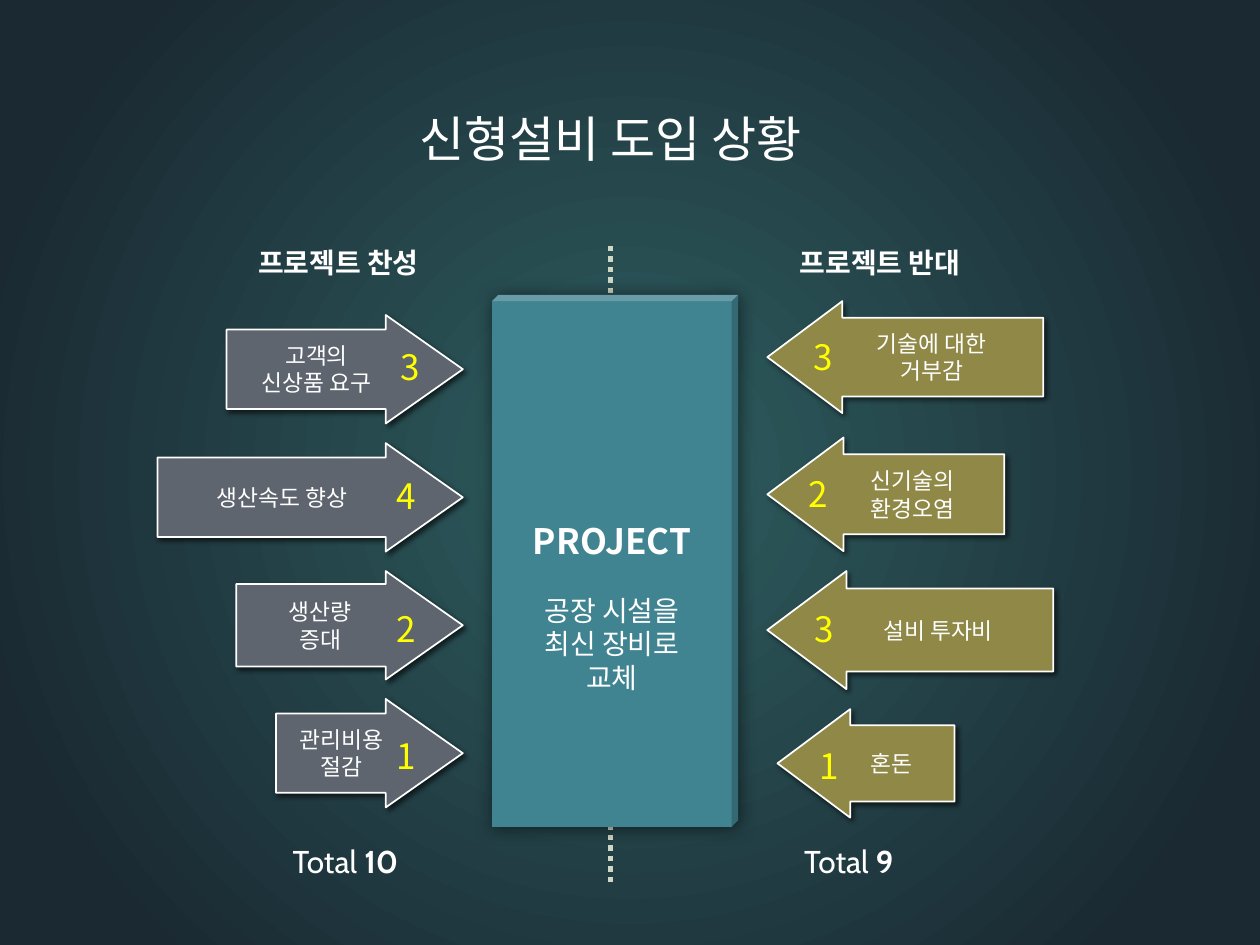
from lxml import etree
from pptx import Presentation
from pptx.dml.color import RGBColor
from pptx.enum.dml import MSO_LINE
from pptx.enum.shapes import MSO_CONNECTOR, MSO_SHAPE
from pptx.enum.text import MSO_ANCHOR, PP_ALIGN
from pptx.oxml.ns import qn
from pptx.util import Pt

CUBE, RIGHT_ARROW, LEFT_ARROW = MSO_SHAPE.CUBE, MSO_SHAPE.RIGHT_ARROW, MSO_SHAPE.LEFT_ARROW
STRAIGHT, DOTTED = MSO_CONNECTOR.STRAIGHT, MSO_LINE.ROUND_DOT
LEFT, CENTER = PP_ALIGN.LEFT, PP_ALIGN.CENTER
TOP, MIDDLE = MSO_ANCHOR.TOP, MSO_ANCHOR.MIDDLE

COLORS = {
    "glow": "2E5E60", "night": "1A2932", "white": "FFFFFF", "score": "FFFF00",
    "for": "5E656F", "against": "8F8846", "project": "418491",
    "axis": "CFD7C5", "shadow": "000000",
}
KOREAN, LATIN = "Noto Sans CJK KR", "Cabin"
FORMATS = {
    "title": {"name": KOREAN, "size": Pt(28), "bold": False},
    "heading": {"name": KOREAN, "size": Pt(16), "bold": True},
    "force": {"name": KOREAN, "size": Pt(13), "bold": False},
    "score": {"name": KOREAN, "size": Pt(20), "bold": False},
    "project": {"name": KOREAN, "size": Pt(20), "bold": True},
    "detail": {"name": KOREAN, "size": Pt(16), "bold": False},
    "total": {"name": LATIN, "size": Pt(18), "bold": False},
    "sum": {"name": LATIN, "size": Pt(18), "bold": True},
}
SIDES = {
    "for": {
        "arrow": RIGHT_ARROW, "head": 0.711, "heading": "프로젝트 찬성", "total": "10",
        "heading_x": 50.4, "total_x": 62,
        "forces": [
            ("고객의\v신상품 요구", "3", (39.5, 43.2, 135, 62), 0.732, (131.8, 56.9)),
            ("생산속도 향상", "4", (0, 116.4, 174.5, 62), 0.732, (129.6, 131)),
            ("생산량\v증대", "2", (45, 189.5, 129.5, 62), 0.76, (129.6, 206.6)),
            ("관리비용\v절감", "1", (67.8, 262.6, 106.7, 62), 0.732, (129.6, 279.4)),
        ],
    },
    "against": {
        "arrow": LEFT_ARROW, "head": 0.67, "heading": "프로젝트 반대", "total": "9",
        "heading_x": 11.5, "total_x": 5.8,
        "forces": [
            ("기술에 대한\v거부감", "3", (0, 35.3, 157.7, 64), 0.703, (19.5, 51.1)),
            ("신기술의\v환경오염", "2", (0, 113.2, 135.4, 65), 0.703, (16.5, 129.6)),
            ("설비 투자비", "3", (0, 189.5, 163.4, 67.5), 0.703, (20.1, 206.6)),
            ("혼돈", "1", (5.8, 268.4, 101.2, 62), 0.703, (23, 285.1)),
        ],
    },
}


def rgb(color):
    """Return the named colour."""
    return RGBColor.from_string(COLORS[color])


def add_runs(paragraph, runs, align, color="white"):
    """Write (text, format) runs into a paragraph, breaking lines at vertical tabs."""
    paragraph.alignment = align
    for text, style in runs:
        for index, line in enumerate(text.split("\v")):
            if index:
                paragraph.add_line_break()
            run = paragraph.add_run()
            run.text = line
            for key, value in FORMATS[style].items():
                setattr(run.font, key, value)
            run.font.color.rgb = rgb(color)
            east_asian = etree.SubElement(run._r.rPr, qn("a:ea"))
            east_asian.set("typeface", FORMATS[style]["name"])


def add_label(slide, box, runs, align=LEFT, color="white", **frame_values):
    """Place a line of text in a box."""
    frame = slide.shapes.add_textbox(*map(Pt, box)).text_frame
    for key, value in {"word_wrap": True, "vertical_anchor": TOP, **frame_values}.items():
        setattr(frame, key, value)
    add_runs(frame.paragraphs[0], runs, align, color)


def add_block(slide, kind, box, color, adjustments, alpha, blur, distance):
    """Place a filled shape with a soft shadow and return it."""
    block = slide.shapes.add_shape(kind, *map(Pt, box))
    for index, value in enumerate(adjustments):
        block.adjustments[index] = value
    block.fill.solid()
    block.fill.fore_color.rgb = rgb(color)
    block.shadow.inherit = False
    effects = block._element.spPr.find(qn("a:effectLst"))
    shadow = etree.SubElement(effects, qn("a:outerShdw"), blurRad=str(Pt(blur)),
                              dist=str(Pt(distance)), dir="2700000", rotWithShape="0")
    shade = etree.SubElement(shadow, qn("a:srgbClr"), val=COLORS["shadow"])
    etree.SubElement(shade, qn("a:alpha"), val=str(alpha * 1000))
    block.text_frame.word_wrap = True
    block.text_frame.vertical_anchor = MIDDLE
    return block


def add_side(slide, x, y, side):
    """Place one column of forces with its heading, scores and total."""
    content = SIDES[side]
    for text, score, (dx, dy, width, height), shaft, (score_x, score_y) in content["forces"]:
        force = add_block(slide, content["arrow"], (x + dx, y + dy, width, height), side,
                          (shaft, content["head"]), 60, 3, 2)
        force.line.color.rgb = rgb("white")
        force.line.width = Pt(1)
        add_runs(force.text_frame.paragraphs[0], [(text, "force")], CENTER)
        add_label(slide, (x + score_x, y + score_y, 30, 31.7), [(score, "score")], color="score")
    add_label(slide, (x + content["heading_x"], y, 135.4, 26.6), [(content["heading"], "heading")])
    add_label(slide, (x + content["total_x"], y + 340.6, 135.4, 28.8),
              [("Total ", "total"), (content["total"], "sum")], margin_left=Pt(15.2))


def add_project(slide, x, y, width, height):
    """Place the project block on its dotted axis."""
    axis_x = x + 67.5
    axis = slide.shapes.add_connector(STRAIGHT, Pt(axis_x), Pt(y - 28), Pt(axis_x), Pt(y + height + 34))
    axis.line.color.rgb = rgb("axis")
    axis.line.width = Pt(3)
    axis.line.dash_style = DOTTED
    etree.SubElement(axis._element.spPr, qn("a:effectLst"))
    project = add_block(slide, CUBE, (x, y, width, height), "project", (0.026,), 55, 10, 1)
    project.line.fill.background()
    frame = project.text_frame
    frame.margin_top = Pt(52.4)
    name = frame.paragraphs[0]
    name.space_after = Pt(18)
    add_runs(name, [("PROJECT", "project")], CENTER)
    add_runs(frame.add_paragraph(), [("공장 시설을\v최신 장비로\v교체", "detail")], CENTER)


def paint_background(slide):
    """Fill the background with a glow from the centre."""
    fill = slide.background.fill
    fill.gradient()
    for stop, color, position in zip(fill.gradient_stops, ("glow", "night"), (0, 0.86)):
        stop.color.rgb = rgb(color)
        stop.position = position
    gradient = slide._element.find(".//" + qn("a:gradFill"))
    gradient.remove(gradient.find(qn("a:lin")))
    circle = etree.SubElement(gradient, qn("a:path"), path="circle")
    etree.SubElement(circle, qn("a:fillToRect"), l="50000", t="50000", r="50000", b="50000")


def main():
    """Build the force field slide."""
    deck = Presentation()
    deck.slide_width, deck.slide_height = Pt(720), Pt(540)
    slide = deck.slides.add_slide(deck.slide_layouts[6])
    paint_background(slide)
    add_side(slide, 90, 136.8, "for")
    add_side(slide, 438.5, 136.8, "against")
    add_project(slide, 281.2, 168.5, 140.6, 304)
    add_label(slide, (180, 58.3, 337.7, 41), [("신형설비 도입 상황", "title")], CENTER)
    deck.save("out.pptx")


if __name__ == "__main__":
    main()
